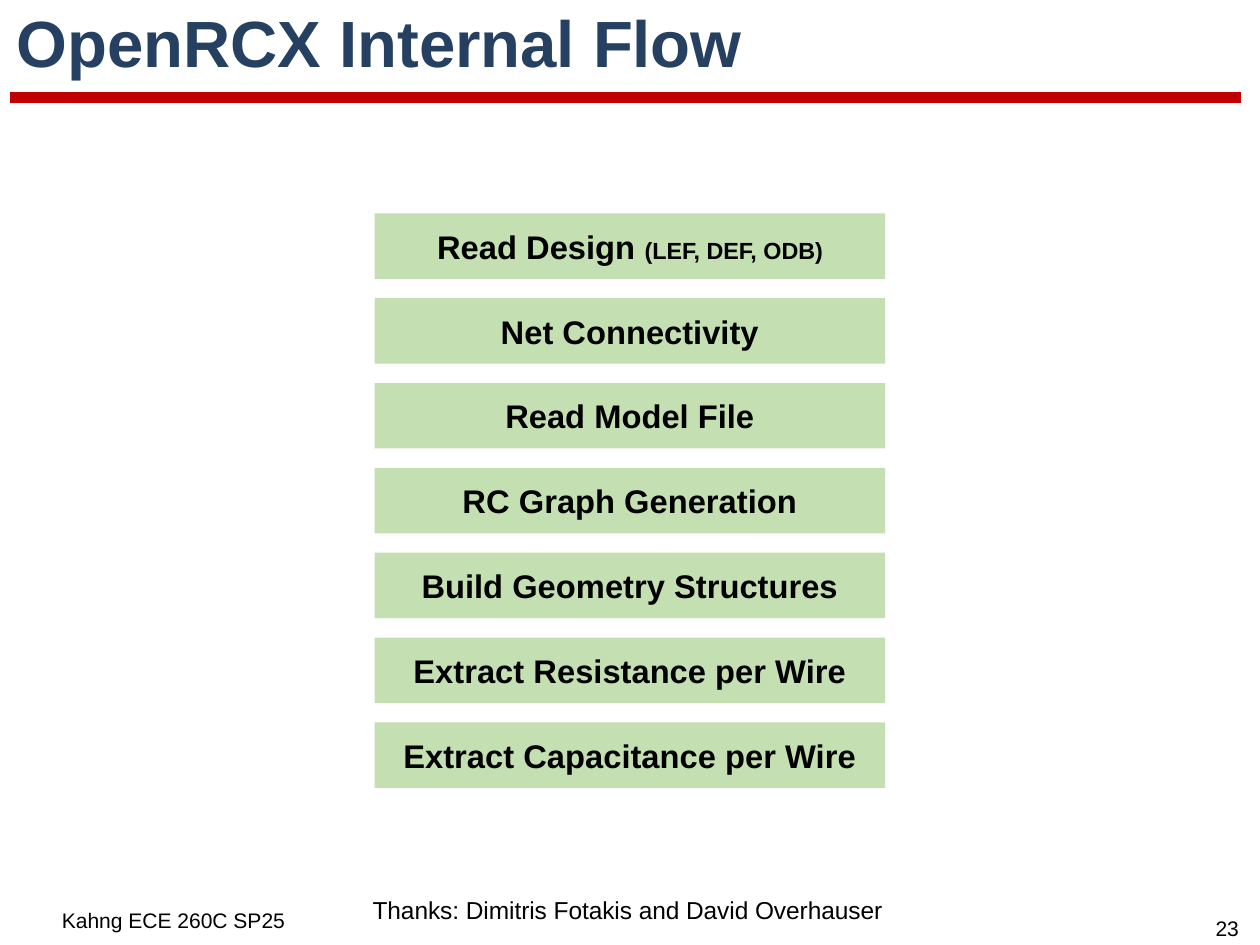
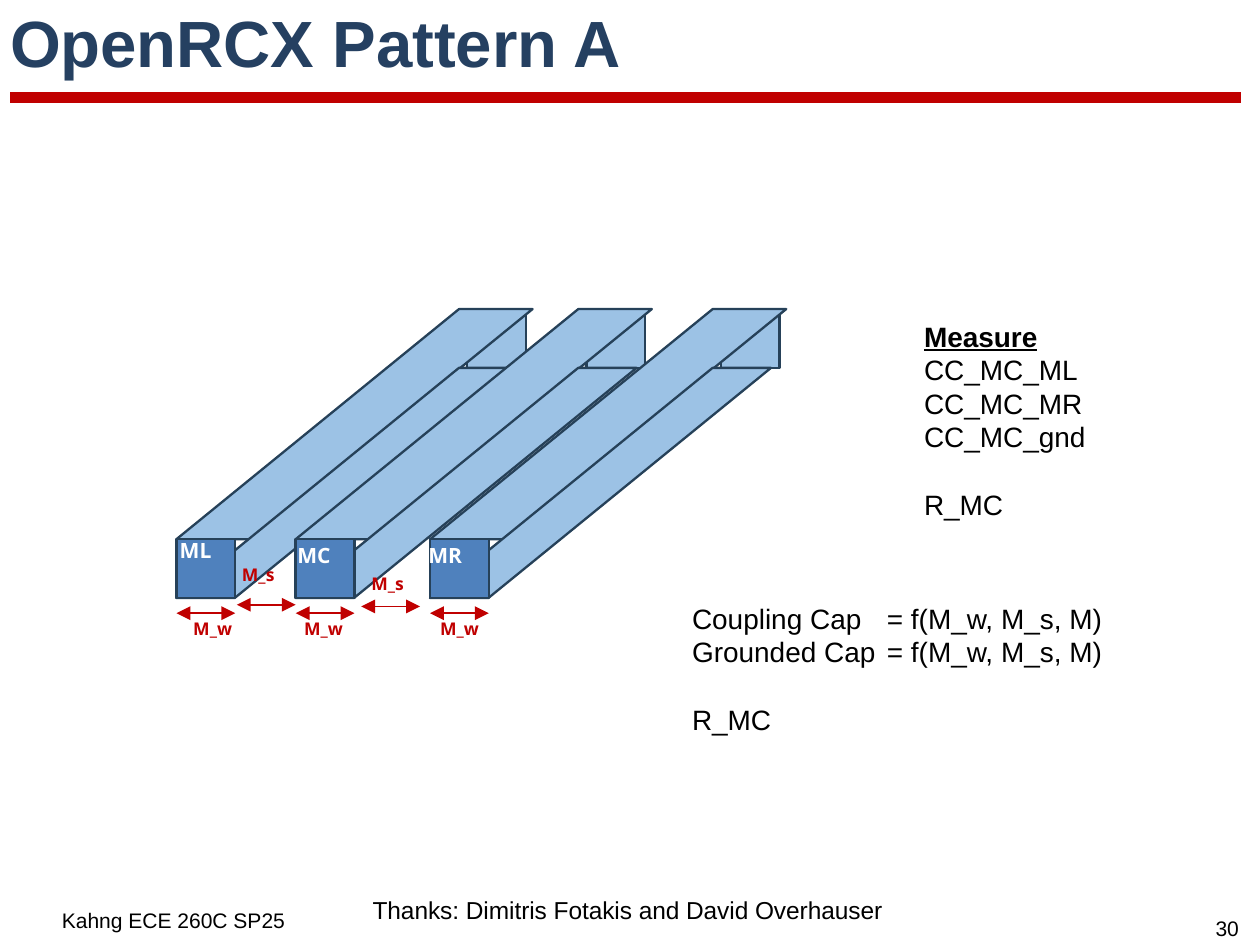
from dataclasses import dataclass

from lxml import etree
from pptx import Presentation
from pptx import util as u
from pptx.dml import color
from pptx.enum import shapes, text
from pptx.oxml import ns

In, Pt = u.Inches, u.Pt


def rgb(code: str) -> color.RGBColor:
    return color.RGBColor.from_string(code)


@dataclass(frozen=True)
class Theme:
    ink: color.RGBColor = rgb("000000")
    white: color.RGBColor = rgb("FFFFFF")
    title: color.RGBColor = rgb("254061")
    red: color.RGBColor = rgb("C00000")
    step: color.RGBColor = rgb("C4E0B2")
    wire: color.RGBColor = rgb("9CC2E5")
    wire_front: color.RGBColor = rgb("4F81BD")
    wire_edge: color.RGBColor = rgb("264159")
    sans: str = "Arial"
    label_sans: str = "Open Sans"
    title_size: float = 28
    step_size: float = 14
    body_size: float = 12
    body_leading: float = 14.4
    credit_size: float = 10.5
    detail_size: float = 10
    small_size: float = 9
    dimension_size: float = 7.5


T = Theme()


@dataclass(frozen=True)
class Style:
    size: float
    ink: color.RGBColor = T.ink
    bold: bool = False
    face: str = T.sans


@dataclass(frozen=True)
class Box:
    x: float
    y: float
    w: float
    h: float

    def lengths(self) -> tuple:
        return In(self.x), In(self.y), In(self.w), In(self.h)


@dataclass(frozen=True)
class Step:
    name: str
    detail: str = ""


@dataclass(frozen=True)
class Wire:
    x: float
    name: str
    name_x: float
    name_y: float
    width_label_x: float


@dataclass(frozen=True)
class Spacing:
    x: float
    y: float
    label_x: float
    label_y: float


@dataclass(frozen=True)
class Line:
    words: str
    heading: bool = False
    gap: bool = False


STEPS = (
    Step("Read Design", "(LEF, DEF, ODB)"),
    Step("Net Connectivity"),
    Step("Read Model File"),
    Step("RC Graph Generation"),
    Step("Build Geometry Structures"),
    Step("Extract Resistance per Wire"),
    Step("Extract Capacitance per Wire"),
)
WIRES = (
    Wire(1.05, "ML", 1.01, 3.17, 1.09),
    Wire(1.76, "MC", 1.71, 3.2, 1.75),
    Wire(2.56, "MR", 2.49, 3.2, 2.56),
)
SPACINGS = (Spacing(1.41, 3.6, 1.38, 3.33), Spacing(2.15, 3.61, 2.15, 3.38))
MEASURES = (
    Line("Measure", heading=True),
    Line("CC_MC_ML"),
    Line("CC_MC_MR"),
    Line("CC_MC_gnd"),
    Line("R_MC", gap=True),
)
FORMULAS = (
    Line("Coupling Cap\t= f(M_w, M_s, M)"),
    Line("Grounded Cap\t= f(M_w, M_s, M)"),
    Line("R_MC", gap=True),
)
SLIDE_WIDTH = 7.5
SIDE = 0.35
BACK_Y, FRONT_Y = 1.84, 3.21
BACK_SHIFT = 1.73
SLANT = 1.228
FORMULA_TAB = 1.16


def set_font(p, style: Style) -> None:
    f = p.font
    f.name, f.size, f.bold = style.face, Pt(style.size), style.bold
    f.color.rgb = style.ink


def set_insets(tf, x: float, y: float) -> None:
    tf.margin_left = tf.margin_right = In(x)
    tf.margin_top = tf.margin_bottom = In(y)


def add_text(parent, box: Box, words: str, style: Style,
             insets: tuple[float, float] = (0.06, 0.03), align=None):
    sp = parent.add_textbox(*box.lengths())
    tf = sp.text_frame
    tf.word_wrap = True
    set_insets(tf, *insets)
    p = tf.paragraphs[0]
    p.text = words
    p.alignment = align
    set_font(p, style)
    return sp


def add_line(parent, x1: float, x2: float, y: float, width: float, arrows: bool = False) -> None:
    cx = parent.add_connector(shapes.MSO_CONNECTOR.STRAIGHT, In(x1), In(y), In(x2), In(y))
    cx.line.color.rgb = T.red
    cx.line.width = Pt(width)
    sp_pr = cx._element.spPr
    if arrows:
        ln = sp_pr.find(ns.qn("a:ln"))
        for end in ("a:headEnd", "a:tailEnd"):
            etree.SubElement(ln, ns.qn(end), type="triangle")
    etree.SubElement(sp_pr, ns.qn("a:effectLst"))


def add_filled(parent, kind, box: Box, fill: color.RGBColor, edge=None):
    sp = parent.add_shape(kind, *box.lengths())
    sp.shadow.inherit = False
    sp.fill.solid()
    sp.fill.fore_color.rgb = fill
    if edge is None:
        sp.line.fill.background()
    else:
        sp.line.color.rgb = edge
        sp.line.width = Pt(1)
    return sp


def add_slide(prs, title: str, number: int, title_inset: float):
    s = prs.slides.add_slide(prs.slide_layouts[5])
    add_line(s.shapes, 0.06, 7.39, 0.58, 4.5)
    sp = s.shapes.title
    sp.left, sp.top, sp.width, sp.height = Box(0, 0.07, SLIDE_WIDTH, 0.44).lengths()
    tf = sp.text_frame
    tf.auto_size = text.MSO_AUTO_SIZE.NONE
    tf.vertical_anchor = text.MSO_ANCHOR.MIDDLE
    set_insets(tf, title_inset, 0.02)
    p = tf.paragraphs[0]
    p.text = title
    p.alignment = text.PP_ALIGN.LEFT
    p.line_spacing = 0.8
    set_font(p, Style(T.title_size, T.title, True))
    small = Style(T.small_size)
    add_text(s.shapes, Box(7.12, 5.43, 0.37, 0.19), str(number), small,
             (0.04, 0.02), text.PP_ALIGN.CENTER)
    add_text(s.shapes, Box(0.27, 5.35, 1.73, 0.21), "Kahng ECE 260C SP25", small, (0.1, 0.05))
    add_text(s.shapes, Box(2.12, 5.28, 3.37, 0.28),
             "Thanks: Dimitris Fotakis and David Overhauser", Style(T.credit_size), (0.1, 0.05))
    return s


def add_step(s, step: Step, y: float) -> None:
    sp = add_filled(s.shapes, shapes.MSO_SHAPE.RECTANGLE, Box(2.23, y, 3.04, 0.39), T.step)
    tf = sp.text_frame
    set_insets(tf, 0.07, 0.07)
    tf.vertical_anchor = text.MSO_ANCHOR.MIDDLE
    p = tf.paragraphs[0]
    p.alignment = text.PP_ALIGN.CENTER
    set_font(p, Style(T.step_size, bold=True))
    r = p.add_run()
    r.text = step.name
    if step.detail:
        r.text += " "
        r = p.add_run()
        r.text = step.detail
        r.font.size = Pt(T.detail_size)


def add_lines(s, box: Box, lines: tuple[Line, ...]) -> None:
    tf = add_text(s.shapes, box, lines[0].words, Style(T.body_size)).text_frame
    for i, line in enumerate(lines):
        p = tf.add_paragraph() if i else tf.paragraphs[0]
        p.text = line.words
        p.line_spacing = Pt(T.body_leading)
        if line.gap:
            p.space_before = Pt(T.body_leading)
        set_font(p, Style(T.body_size, bold=line.heading))
        p.font.underline = line.heading
        if "\t" in line.words:
            tabs = etree.Element(ns.qn("a:tabLst"))
            etree.SubElement(tabs, ns.qn("a:tab"), pos=str(In(FORMULA_TAB)), algn="l")
            p._p.pPr.find(ns.qn("a:defRPr")).addprevious(tabs)


def add_wire(parent, wire: Wire) -> None:
    kinds = shapes.MSO_SHAPE
    depth = FRONT_Y - BACK_Y
    faces = (
        (kinds.RECTANGLE, Box(wire.x + BACK_SHIFT, BACK_Y, SIDE, SIDE), T.wire),
        (kinds.PARALLELOGRAM, Box(wire.x, BACK_Y, 2.12, depth), T.wire),
        (kinds.PARALLELOGRAM, Box(wire.x, BACK_Y + SIDE, 2.03, depth), T.wire),
        (kinds.RECTANGLE, Box(wire.x, FRONT_Y, SIDE, SIDE), T.wire_front),
    )
    for kind, box, fill in faces:
        sp = add_filled(parent, kind, box, fill, T.wire_edge)
        if kind == kinds.PARALLELOGRAM:
            sp.adjustments[0] = SLANT


def add_pattern(s) -> None:
    parent = s.shapes.add_group_shape().shapes
    name_style = Style(T.small_size, T.white, True, T.label_sans)
    dimension_style = Style(T.dimension_size, T.red, True, T.label_sans)
    for wire in WIRES:
        add_wire(parent, wire)
    for wire in WIRES:
        add_text(parent, Box(wire.name_x, wire.name_y, 0.41, 0.26), wire.name, name_style)
        add_line(parent, wire.x, wire.x + SIDE, 3.65, 0.75, arrows=True)
        add_text(parent, Box(wire.width_label_x, 3.65, 0.55, 0.23), "M_w", dimension_style)
    for gap in SPACINGS:
        add_line(parent, gap.x, gap.x + SIDE, gap.y, 0.75, arrows=True)
        add_text(parent, Box(gap.label_x, gap.label_y, 0.49, 0.23), "M_s", dimension_style)


def main() -> None:
    prs = Presentation()
    prs.slide_width, prs.slide_height = In(SLIDE_WIDTH), In(SLIDE_WIDTH * 3 / 4)

    s = add_slide(prs, "OpenRCX Internal Flow", 23, 0.1)
    first_y, last_y = 1.27, 4.3
    pitch = (last_y - first_y) / (len(STEPS) - 1)
    for i, step in enumerate(STEPS):
        add_step(s, step, first_y + i * pitch)

    s = add_slide(prs, "OpenRCX Pattern A", 30, 0.06)
    add_lines(s, Box(5.44, 1.87, 1.61, 1.27), MEASURES)
    add_lines(s, Box(4.06, 3.55, 2.87, 0.86), FORMULAS)
    add_pattern(s)
    prs.save("out.pptx")


if __name__ == "__main__":
    main()
